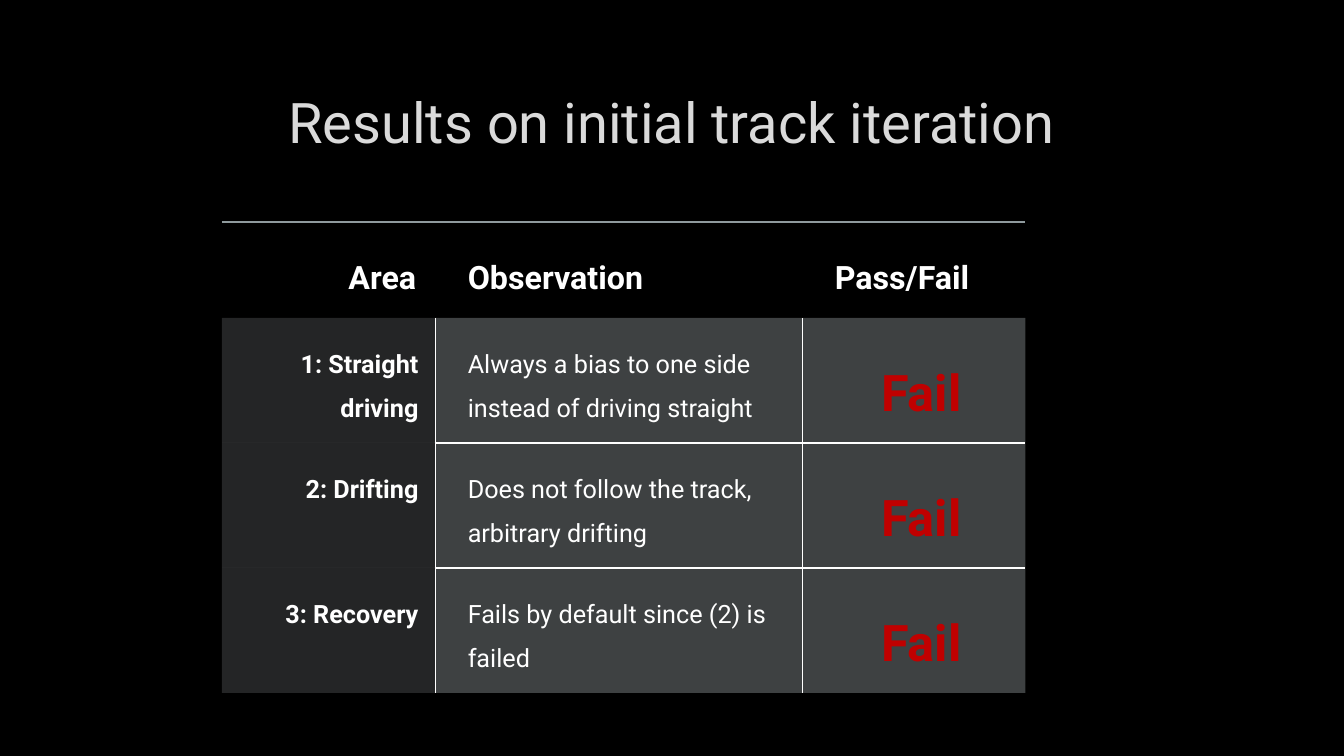
import pptx
import pptx.dml.color
import pptx.enum.text
import pptx.oxml
import pptx.oxml.ns
import pptx.util

Inches = pptx.util.Inches
Pt = pptx.util.Pt
ALIGN = pptx.enum.text.PP_ALIGN
ANCHOR = pptx.enum.text.MSO_ANCHOR
QN = pptx.oxml.ns.qn

HUES = {
    "back": "000000",
    "title": "DADADA",
    "text": "FFFFFF",
    "fail": "C00000",
    "cell": "B4BCBE",
    "rule": "8F9A9D",
}
NO_GRID = "{2D5ABB26-0587-4C30-8999-92F81FD0307C}"
WIDTHS = [2.12, 3.64, 2.21]
HEIGHTS = [0.95, 1.22, 1.22, 1.22]
ROWS = [
    ["Area", "Observation", "Pass/Fail"],
    ["1: Straight driving", "Always a bias to one side instead of driving straight", "Fail"],
    ["2: Drifting", "Does not follow the track, arbitrary drifting", "Fail"],
    ["3: Recovery", "Fails by default since (2) is failed", "Fail"],
]
HEAD_ALIGN = [ALIGN.RIGHT, ALIGN.LEFT, ALIGN.LEFT]
BODY_ALIGN = [ALIGN.RIGHT, ALIGN.LEFT, ALIGN.CENTER]
BODY_FONT = [(18, "text", True), (18, "text", False), (36, "fail", True)]


def color(name):
    return pptx.dml.color.RGBColor.from_string(HUES[name])


def write(frame, text, size, hue, bold, align):
    frame.word_wrap = True
    frame.text = text
    par = frame.paragraphs[0]
    par.alignment = align
    font = par.runs[0].font
    font.name = "Roboto"
    font.size = Pt(size)
    font.bold = bold
    font.color.rgb = color(hue)
    return par


def add_title(slide, text):
    box = slide.shapes.add_textbox(Inches(1), Inches(0.67), Inches(11.32), Inches(1.06))
    box.text_frame.vertical_anchor = ANCHOR.MIDDLE
    write(box.text_frame, text, 40, "title", False, ALIGN.CENTER)


def fill_cell(cell, hue, alpha):
    cell.fill.solid()
    cell.fill.fore_color.rgb = color(hue)
    tint = cell._tc.tcPr.find(".//" + QN("a:srgbClr"))
    tint.append(make_alpha(alpha))


def make_alpha(alpha):
    return pptx.oxml.parse_xml(
        f'<a:alpha {pptx.oxml.ns.nsdecls("a")} val="{alpha * 1000}"/>')


def edge_cell(cell, edges):
    props = cell._tc.get_or_add_tcPr()
    sides = [side for side in "LRTB" if side in edges]
    for spot, side in enumerate(sides):
        hue, alpha = edges[side]
        line = pptx.oxml.parse_xml(
            f'<a:ln{side} {pptx.oxml.ns.nsdecls("a")} w="{Pt(1.5)}"><a:solidFill>'
            f'<a:srgbClr val="{HUES[hue]}"/></a:solidFill></a:ln{side}>')
        if alpha < 100:
            line.find(".//" + QN("a:srgbClr")).append(make_alpha(alpha))
        props.insert(spot, line)


def find_edges(row, col):
    if row == 0:
        return {"T": ("rule", 60)}
    white = ("text", 100)
    if col == 0:
        return {"R": white}
    edges = {}
    if col == 1:
        edges["L"] = white
    if row > 1:
        edges["T"] = white
    if row < len(ROWS) - 1:
        edges["B"] = white
    return edges


def style_cell(cell, row, col):
    pad = Inches(0.17 if row else 0.19)
    cell.margin_left = Inches(0.32)
    cell.margin_right = cell.margin_top = cell.margin_bottom = pad
    cell.vertical_anchor = ANCHOR.TOP
    size, hue, bold = BODY_FONT[col] if row else (23, "text", True)
    align = BODY_ALIGN[col] if row else HEAD_ALIGN[col]
    par = write(cell.text_frame, ROWS[row][col], size, hue, bold, align)
    par.line_spacing = 1.5
    if row:
        fill_cell(cell, "cell", 35 if col else 20)
    else:
        cell.fill.background()
    edge_cell(cell, find_edges(row, col))


def add_grid(slide):
    frame = slide.shapes.add_table(
        len(ROWS), len(WIDTHS), Inches(2.2), Inches(2.2),
        Inches(sum(WIDTHS)), Inches(sum(HEIGHTS)))
    table = frame.table
    table.horz_banding = False
    table._tbl.tblPr.find(QN("a:tableStyleId")).text = NO_GRID
    for col, width in enumerate(WIDTHS):
        table.columns[col].width = Inches(width)
    for row, height in enumerate(HEIGHTS):
        table.rows[row].height = Inches(height)
        for col in range(len(WIDTHS)):
            style_cell(table.cell(row, col), row, col)


def main():
    deck = pptx.Presentation()
    deck.slide_width = Inches(13.33)
    deck.slide_height = Inches(7.5)
    slide = deck.slides.add_slide(deck.slide_layouts[6])
    slide.background.fill.solid()
    slide.background.fill.fore_color.rgb = color("back")
    add_title(slide, "Results on initial track iteration")
    add_grid(slide)
    deck.save("out.pptx")


if __name__ == "__main__":
    main()
